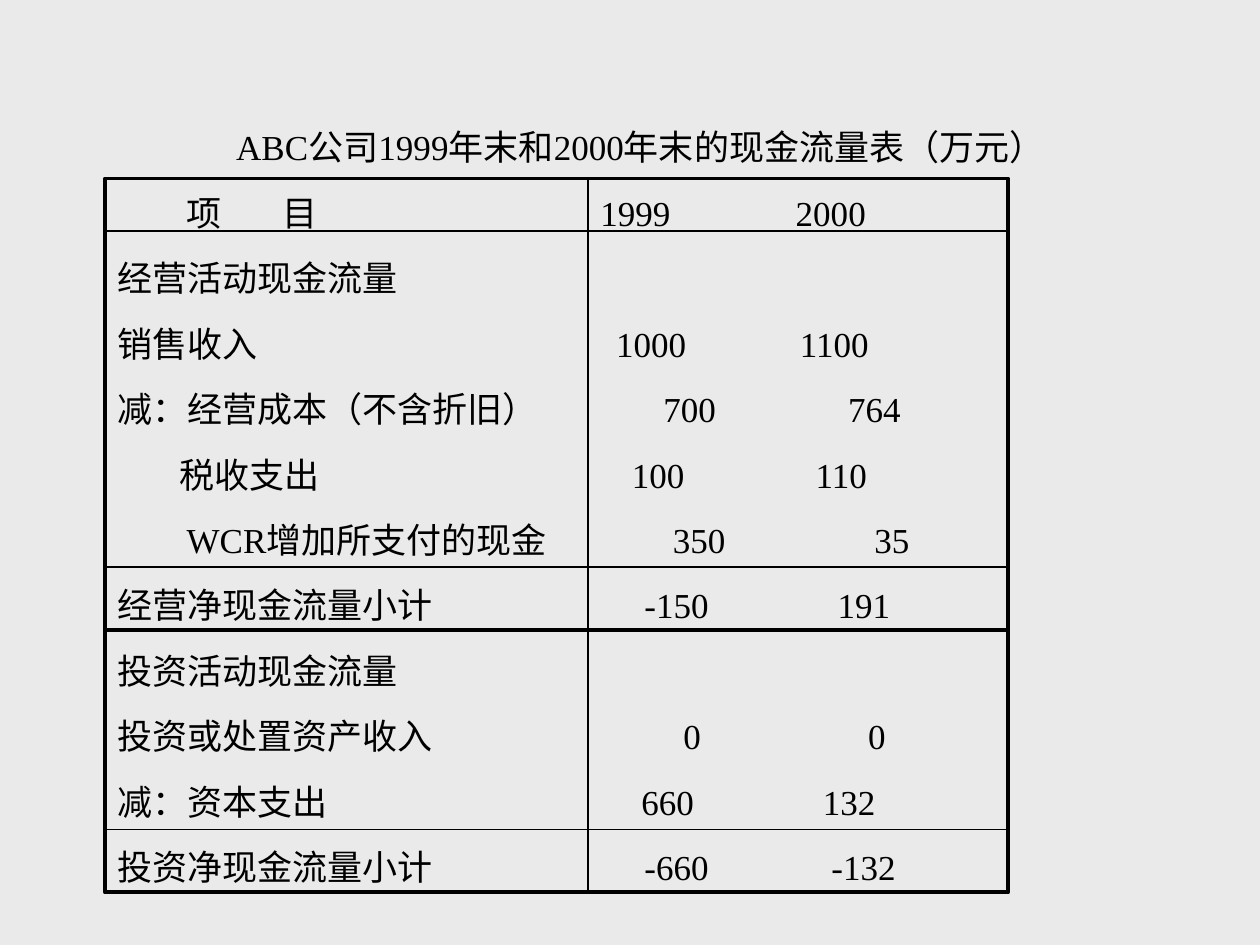
from dataclasses import dataclass

from lxml.etree import SubElement
from pptx import Presentation
from pptx.dml.color import RGBColor
from pptx.enum.shapes import MSO_CONNECTOR, MSO_SHAPE
from pptx.enum.text import PP_ALIGN
from pptx.oxml.ns import qn
from pptx.slide import Slide
from pptx.util import Inches, Length, Pt

COLORS = {"background": "EAEAEA", "ink": "000000"}
FONT = "Times New Roman"
LEFT, RIGHT, TOP, BOTTOM = 10, 96, 17, 85
THIN, THICK = 0.75, 2.25


@dataclass(frozen=True)
class TextRow:
    text: str
    stops: tuple[float, ...] = ()
    alignment: PP_ALIGN = PP_ALIGN.LEFT


@dataclass(frozen=True)
class Rule:
    start: tuple[float, float]
    end: tuple[float, float]
    weight: float = THIN


ROWS = [
    TextRow("ABC公司1999年末和2000年末的现金流量表（万元）", alignment=PP_ALIGN.CENTER),
    TextRow("\t项\t目\t1999\t2000", (6.6, 15.7, 46, 64.6)),
    TextRow("经营活动现金流量"),
    TextRow("销售收入\t1000\t1100", (47.5, 65)),
    TextRow("减：经营成本（不含折旧）\t700\t764", (52, 69.6)),
    TextRow("\t税收支出\t100\t110", (5.9, 49, 66.5)),
    TextRow("\tWCR增加所支付的现金\t350\t35", (6.6, 52.9, 72.1)),
    TextRow("经营净现金流量小计\t-150\t191", (50.2, 68.6)),
    TextRow("投资活动现金流量"),
    TextRow("投资或处置资产收入\t0\t0", (53.9, 71.5)),
    TextRow("减：资本支出\t660\t132", (49.9, 67.2)),
    TextRow("投资净现金流量小计\t-660\t-132", (50.2, 68)),
]

RULES = [
    Rule((LEFT, 22), (RIGHT, 22)),
    Rule((56, TOP), (56, BOTTOM)),
    Rule((LEFT, 54), (RIGHT, 54)),
    Rule((LEFT, 60), (RIGHT, 60), THICK),
    Rule((LEFT, 79), (RIGHT, 79)),
]


def grid(units: float) -> Length:
    return Inches(units / 12)


def color(name: str) -> RGBColor:
    return RGBColor.from_string(COLORS[name])


def draw_text(slide: Slide, rows: list[TextRow]) -> None:
    shape = slide.shapes.add_textbox(grid(LEFT), grid(10), grid(102), grid(76))
    frame = shape.text_frame
    frame.word_wrap = True
    for index, row in enumerate(rows):
        paragraph = frame.add_paragraph() if index else frame.paragraphs[0]
        paragraph.text = row.text
        paragraph.alignment = row.alignment
        paragraph.line_spacing = 1.35
        paragraph.space_before = Pt(5 if index else 0)
        if row.stops:
            tabs = SubElement(paragraph._p.get_or_add_pPr(), qn("a:tabLst"))
            for stop in row.stops:
                SubElement(tabs, qn("a:tab"), pos=str(grid(stop)), algn="l")
        paragraph.font.name = FONT
        paragraph.font.size = Pt(20)
        paragraph.font.color.rgb = color("ink")


def draw_frame(slide: Slide) -> None:
    shape = slide.shapes.add_shape(
        MSO_SHAPE.RECTANGLE, grid(LEFT), grid(TOP), grid(RIGHT - LEFT), grid(BOTTOM - TOP)
    )
    shape.shadow.inherit = False
    shape.fill.background()
    shape.line.color.rgb = color("ink")
    shape.line.width = Pt(THICK)


def draw_rule(slide: Slide, rule: Rule) -> None:
    connector = slide.shapes.add_connector(
        MSO_CONNECTOR.STRAIGHT, *map(grid, rule.start + rule.end)
    )
    connector.line.color.rgb = color("ink")
    connector.line.width = Pt(rule.weight)
    SubElement(connector._element.spPr, qn("a:effectLst"))


def main() -> None:
    presentation = Presentation()
    presentation.slide_width = grid(120)
    presentation.slide_height = grid(90)
    slide = presentation.slides.add_slide(presentation.slide_layouts[6])
    slide.background.fill.solid()
    slide.background.fill.fore_color.rgb = color("background")
    draw_text(slide, ROWS)
    draw_frame(slide)
    for rule in RULES:
        draw_rule(slide, rule)
    presentation.save("out.pptx")


if __name__ == "__main__":
    main()
